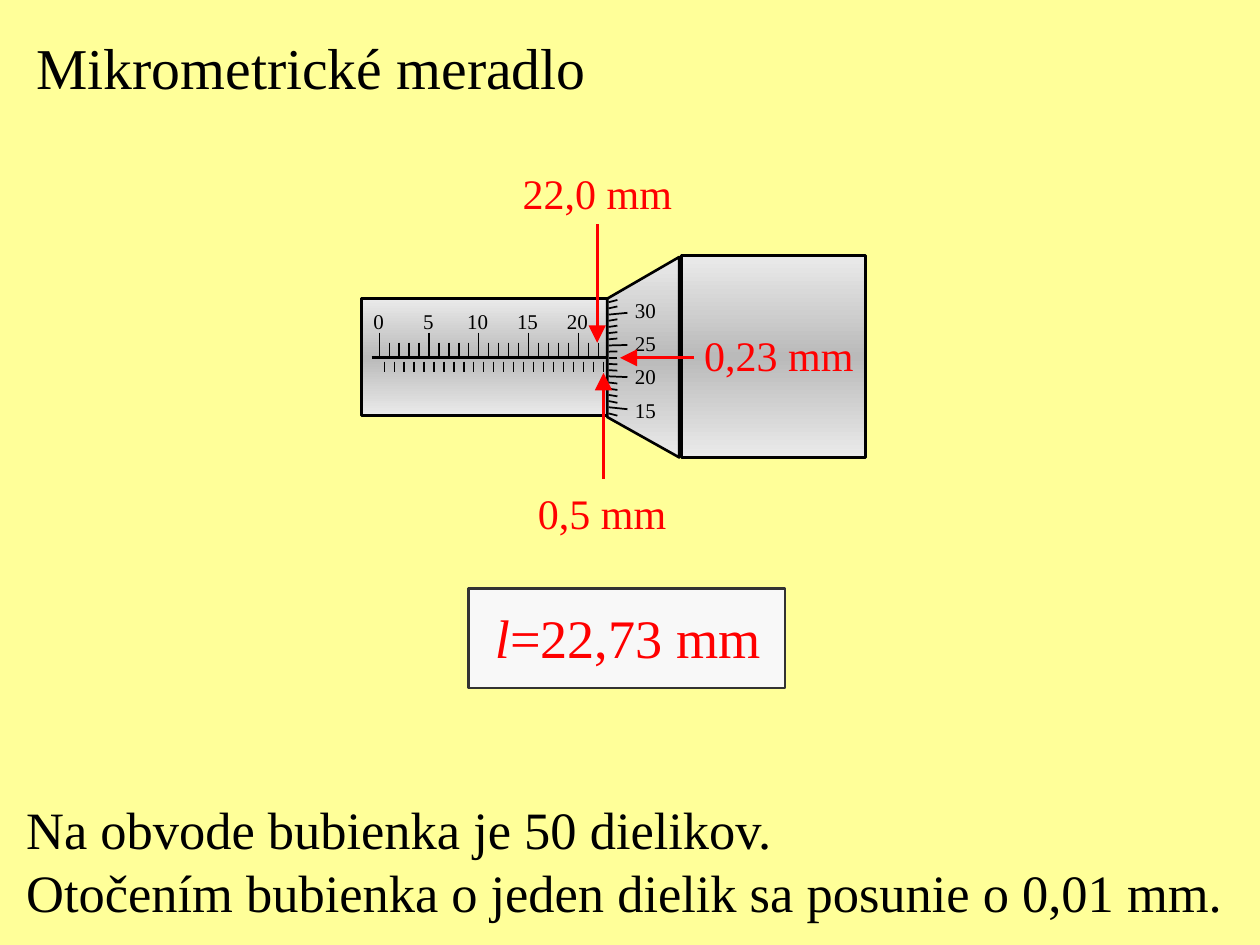
from copy import deepcopy
from dataclasses import dataclass

from lxml import etree
from pptx import Presentation
from pptx import util as u
from pptx.dml.color import RGBColor
from pptx.enum import shapes, text
from pptx.oxml.ns import qn


@dataclass(frozen=True)
class Theme:
    """Colours, font, type sizes and line widths of the slide."""

    background: str = "FFFF99"
    ink: str = "000000"
    accent: str = "FF0000"
    panel: str = "F8F8F8"
    panel_edge: str = "333333"
    metal: tuple = ((0, "EAEAEA"), (0.5, "BABABA"), (1, "EAEAEA"))
    font: str = "Times New Roman"
    title: int = 33
    result: int = 31
    body: int = 30
    callout: int = 24
    scale: int = 12
    outline: float = 1.5
    thimble_tick: float = 1
    sleeve_tick: float = 0.75


THEME = Theme()
COLUMNS, ROWS = 100, 75
AXIS = 28.4
EDGE = 48.2


def add_run(paragraph, content, *, size, color=THEME.ink, italic=False):
    """Append formatted text to a paragraph."""
    run = paragraph.add_run()
    run.text = content
    run.font.name = THEME.font
    run.font.size = u.Pt(size)
    run.font.italic = italic
    run.font.color.rgb = RGBColor.from_string(color)


class Drawing:
    """Draws styled elements on one slide, measured in grid columns and rows."""

    def __init__(self, presentation, theme):
        """Start a blank slide with the theme background."""
        self.theme = theme
        self.column = presentation.slide_width / COLUMNS
        self.row = presentation.slide_height / ROWS
        self.slide = presentation.slides.add_slide(presentation.slide_layouts[6])
        fill = self.slide.background.fill
        fill.solid()
        fill.fore_color.rgb = RGBColor.from_string(theme.background)

    def point(self, x, y):
        """Turn a grid position into slide lengths."""
        return u.Emu(round(x * self.column)), u.Emu(round(y * self.row))

    def style(self, shape, fill, edge):
        """Give a shape a plain or metallic fill and an outline."""
        shape.shadow.inherit = False
        shape.line.color.rgb = RGBColor.from_string(edge)
        shape.line.width = u.Pt(self.theme.outline)
        if isinstance(fill, str):
            shape.fill.solid()
            shape.fill.fore_color.rgb = RGBColor.from_string(fill)
            return
        shape.fill.gradient()
        shape.fill.gradient_angle = 90
        stops = shape._element.spPr.find(".//" + qn("a:gsLst"))
        stops.append(deepcopy(stops[0]))
        for stop, (position, color) in zip(shape.fill.gradient_stops, fill):
            stop.position = position
            stop.color.rgb = RGBColor.from_string(color)

    def box(self, x, y, width, height, *, fill, edge):
        """Draw a rectangle."""
        shape = self.slide.shapes.add_shape(
            shapes.MSO_SHAPE.RECTANGLE, *self.point(x, y), *self.point(width, height))
        self.style(shape, fill, edge)

    def polygon(self, corners, *, fill, edge):
        """Draw a closed outline through the corners."""
        first, *others = [self.point(*corner) for corner in corners]
        builder = self.slide.shapes.build_freeform(*first)
        builder.add_line_segments(others, close=True)
        self.style(builder.convert_to_shape(), fill, edge)

    def line(self, start, end, *, width, color=THEME.ink, arrow=False):
        """Draw a straight line, with a large arrowhead at its end if asked."""
        connector = self.slide.shapes.add_connector(
            shapes.MSO_CONNECTOR.STRAIGHT, *self.point(*start), *self.point(*end))
        connector.line.color.rgb = RGBColor.from_string(color)
        connector.line.width = u.Pt(width)
        if arrow:
            etree.SubElement(connector.line._get_or_add_ln(), qn("a:tailEnd"),
                             type="triangle", w="lg", len="lg")
        etree.SubElement(connector._element.spPr, qn("a:effectLst"))

    def label(self, x, y, width, height, *paragraphs, **style):
        """Write paragraphs, each a list of (text, italic) pairs or a string."""
        box = self.slide.shapes.add_textbox(*self.point(x, y), *self.point(width, height))
        frame = box.text_frame
        frame.word_wrap = False
        frame.auto_size = text.MSO_AUTO_SIZE.SHAPE_TO_FIT_TEXT
        for index, content in enumerate(paragraphs):
            paragraph = frame.add_paragraph() if index else frame.paragraphs[0]
            runs = [(content, False)] if isinstance(content, str) else content
            for words, italic in runs:
                add_run(paragraph, words, italic=italic, **style)


def draw_sleeve(drawing):
    """Draw the fixed sleeve with its millimetre and half-millimetre scales."""
    theme, pitch, zero = drawing.theme, 0.79, 30.1
    drawing.box(28.7, 23.7, 21.5, 9.3, fill=theme.metal, edge=theme.ink)
    drawing.line((29.5, AXIS), (EDGE, AXIS), width=theme.outline)
    for millimetre in range(23):
        x = zero + millimetre * pitch
        top = 27.2 if millimetre % 5 else 26.4
        drawing.line((x, top), (x, AXIS), width=theme.sleeve_tick)
        half = x + pitch / 2
        drawing.line((half, 28.7), (half, 29.5), width=theme.sleeve_tick)
        if millimetre % 5 == 0:
            width = 3.8 if millimetre >= 10 else 2.9
            drawing.label(x - width / 2, 24, width, 3, str(millimetre), size=theme.scale)


def draw_thimble(drawing):
    """Draw the rotating thimble with its scale of hundredths."""
    theme, reading = drawing.theme, 23
    drawing.box(54.1, 20.3, 14.6, 16, fill=theme.metal, edge=theme.ink)
    drawing.polygon([(53.9, 20.4), (53.9, 36.3), (EDGE, 33.1), (EDGE, 23.7)],
                    fill=theme.metal, edge=theme.ink)
    for value in range(14, 33):
        steps = reading - value
        tip = 49 if value % 5 else 49.8
        drawing.line((tip, AXIS + steps * 0.51), (48.3, AXIS + steps * 0.49),
                     width=theme.thimble_tick)
        if value % 5 == 0:
            drawing.label(49.4, 26.8 + steps * 0.53, 3.8, 3, str(value), size=theme.scale)


def draw_readings(drawing):
    """Point out the three partial readings and their sum."""
    theme = drawing.theme
    callouts = (
        ("22,0 mm", (40.5, 12.8, 13.9, 5), (47.4, 17.8), (47.4, 27.2)),
        ("0,23 mm", (54.9, 25.7, 13.9, 5), (55.1, AXIS), (49.2, AXIS)),
        ("0,5 mm", (41.7, 38.2, 12.2, 5), (47.9, 38), (47.9, 29.6)),
    )
    for words, place, start, end in callouts:
        drawing.line(start, end, width=theme.outline, color=theme.accent, arrow=True)
        drawing.label(*place, words, size=theme.callout, color=theme.accent)
    drawing.box(37.2, 46.7, 25.1, 7.9, fill=theme.panel, edge=theme.panel_edge)
    drawing.label(38.3, 47.5, 23.1, 6.2, [("l", True), ("=22,73 mm", False)],
                  size=theme.result, color=theme.accent)


def main():
    """Build and save the slide."""
    presentation = Presentation()
    presentation.slide_width, presentation.slide_height = u.Inches(10), u.Inches(7.5)
    drawing = Drawing(presentation, THEME)
    drawing.label(1.9, 2, 45.7, 6.5, "Mikrometrické meradlo", size=THEME.title)
    draw_sleeve(drawing)
    draw_thimble(drawing)
    draw_readings(drawing)
    drawing.label(1.1, 62.8, 97.1, 11, "Na obvode bubienka je 50 dielikov.",
                  "Otočením bubienka o jeden dielik sa posunie o 0,01 mm.", size=THEME.body)
    presentation.save("out.pptx")


if __name__ == "__main__":
    main()
